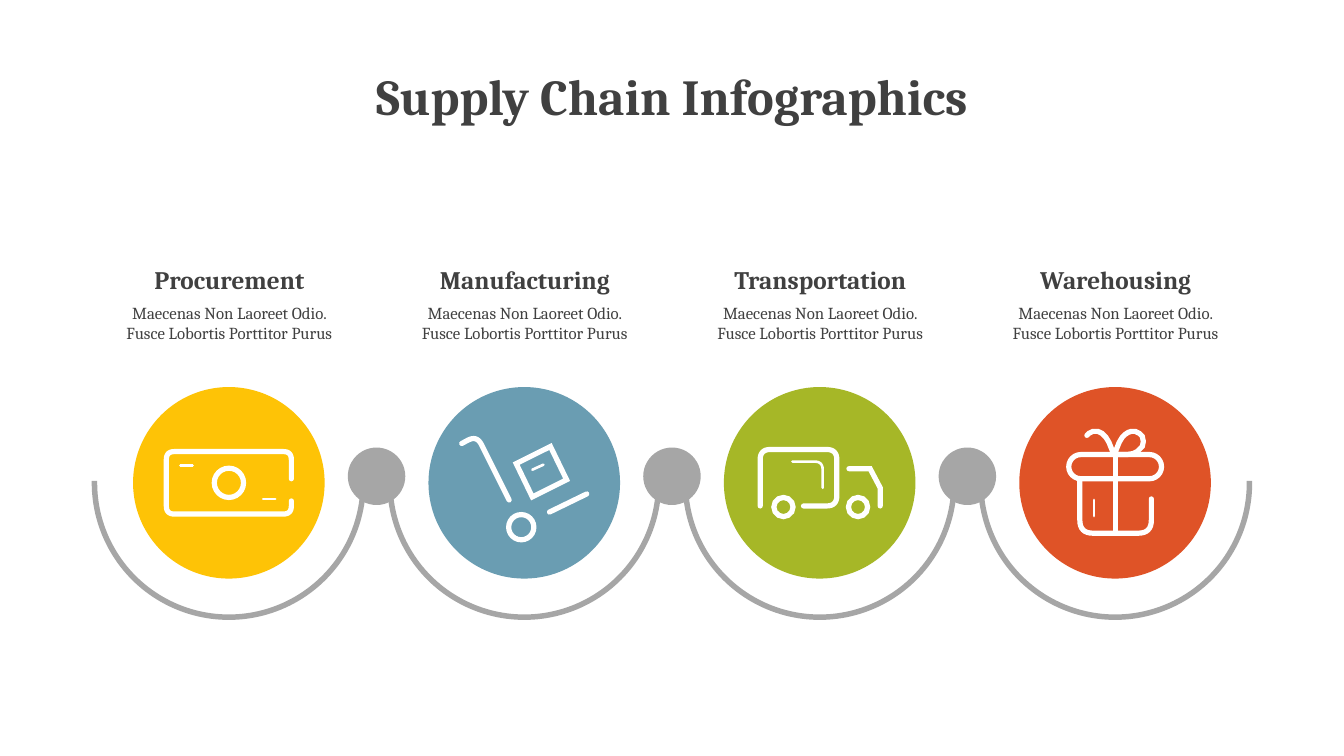
import math

import pptx
import pptx.util
import pptx.dml.color
import pptx.enum.shapes
import pptx.enum.text
import pptx.oxml
import pptx.oxml.ns

Inches = pptx.util.Inches
SHAPE = pptx.enum.shapes.MSO_SHAPE
CENTER = pptx.enum.text.PP_ALIGN.CENTER
COLORS = {"text": "404040", "gray": "A6A6A6", "white": "FFFFFF", "yellow": "FEC306",
          "blue": "6A9DB2", "green": "A6B727", "orange": "DF5327"}
FONT = "Cambria"
THICK, THIN = 3.71, 1.86
LEFT_X, PITCH, CENTER_Y = 2.27, 2.93, 4.79

# Icons in inches from the circle centre.
# Strokes: points, corner radius, line width, closed. Rounds: centre x, y, width, height.
bow_right = [(.1, -.48), (.07, -.45), (.04, -.4), (0, -.3), (0, -.28), (.12, -.28), (.18, -.29),
             (.22, -.31), (.27, -.36), (.28, -.41), (.27, -.46), (.24, -.49), (.2, -.51),
             (.16, -.51), (.13, -.5)]
bow_left = [(-.28, -.47), (-.26, -.49), (-.22, -.51), (-.17, -.51), (-.13, -.49), (-.09, -.45),
            (-.06, -.4), (-.02, -.3), (-.01, -.28)]
banknote = {
    "strokes": [
        ([(.62, .18), (.62, .31), (-.62, .31), (-.62, -.31), (.62, -.31), (.62, -.04)], .08, THICK, False),
        ([(.34, .16), (.46, .16)], 0, THIN, False),
        ([(-.48, -.17), (-.36, -.17)], 0, THIN, False)],
    "rounds": [(0, 0, .29, .29)]}
trolley = {
    "strokes": [
        ([(-.62, -.39), (-.47, -.47), (-.15, .17)], .1, THICK, False),
        ([(.25, .29), (.62, .11)], 0, THICK, False),
        ([(.42, -.03), (.08, .14), (-.08, -.19), (.26, -.36)], 0, THICK, True),
        ([(.08, -.13), (.19, -.18)], 0, THIN, False)],
    "rounds": [(-.03, .44, .25, .25)]}
truck = {
    "strokes": [
        ([(-.59, .23), (-.59, -.33), (.17, -.33), (.17, .23), (-.16, .23)], .1, THICK, False),
        ([(.29, -.14), (.5, -.14), (.6, .05), (.6, .23)], 0, THICK, False),
        ([(-.27, -.21), (.03, -.21), (.03, .05)], .08, THIN, False)],
    "rounds": [(-.36, .24, .19, .19), (.38, .24, .19, .19)]}
gift = {
    "strokes": [
        ([(.36, .16), (.36, .5), (-.35, .5), (-.35, -.04)], .13, THICK, False),
        ([(0, -.27), (0, .49)], 0, THICK, False),
        (bow_right, 0, THICK, True),
        (bow_left, 0, THICK, False),
        ([(-.21, .17), (-.21, .33)], 0, THIN, False)],
    "rounds": [(0, -.16, .92, .24)]}

STAGES = [("Procurement", "yellow", banknote), ("Manufacturing", "blue", trolley),
          ("Transportation", "green", truck), ("Warehousing", "orange", gift)]


def style(sp, fill=None, width=None):
    """Fill a shape, or outline it in white with round line ends."""
    if fill:
        sp.fill.solid()
        sp.fill.fore_color.rgb = pptx.dml.color.RGBColor.from_string(COLORS[fill])
    elif hasattr(sp, "fill"):
        sp.fill.background()
    if width:
        sp.line.color.rgb = pptx.dml.color.RGBColor.from_string(COLORS["white"])
        sp.line.width = pptx.util.Pt(width)
        ln = sp.line._get_or_add_ln()
        ln.set("cap", "rnd")
        pptx.oxml.ns.qn("a:miter")
        ln.append(pptx.oxml.parse_xml(
            '<a:miter xmlns:a="http://schemas.openxmlformats.org/drawingml/2006/main" lim="800000"/>'))
    else:
        sp.line.fill.background()
    if hasattr(sp, "shadow"):
        sp.shadow.inherit = False
    else:
        sp._element.spPr.append(pptx.oxml.parse_xml(
            '<a:effectLst xmlns:a="http://schemas.openxmlformats.org/drawingml/2006/main"/>'))


def round_corners(points, radius):
    """Replace each inner corner by a short curve."""
    result = [points[0]]
    for before, corner, after in zip(points, points[1:], points[2:]):
        ends = []
        for x, y in (before, after):
            share = min(radius / math.dist((x, y), corner), 1)
            ends.append((corner[0] + (x - corner[0]) * share, corner[1] + (y - corner[1]) * share))
        for t in (i / 8 for i in range(9)):
            result.append(tuple((1 - t) ** 2 * a + 2 * t * (1 - t) * c + t ** 2 * b
                                for a, c, b in zip(ends[0], corner, ends[1])))
    return result + [points[-1]]


prs = pptx.Presentation()
prs.slide_width, prs.slide_height = Inches(13.33), Inches(7.5)
s = prs.slides.add_slide(prs.slide_layouts[6])

# Title
title = s.shapes.add_textbox(0, Inches(0.6), Inches(13.33), Inches(0.71))
tf = title.text_frame
tf.word_wrap = True
tf.text = "Supply Chain Infographics"
text_lines = [(tf.paragraphs[0], 36, True)]

for i, (name, color, icon) in enumerate(STAGES):
    cx = LEFT_X + i * PITCH

    # Half ring below the circle, reaching slightly above its middle
    ring = s.shapes.add_shape(SHAPE.BLOCK_ARC, Inches(cx - 1.36), Inches(CENTER_Y - 1.36),
                              Inches(2.72), Inches(2.72))
    for k, value in enumerate((215.52, 108.48, 0.02)):
        ring.adjustments[k] = value
    style(ring, "gray")

    # Dot between two stages
    if i < len(STAGES) - 1:
        dot = s.shapes.add_shape(SHAPE.OVAL, Inches(cx + 1.18), Inches(4.44), Inches(0.57), Inches(0.57))
        style(dot, "gray")

    # Coloured circle
    circle = s.shapes.add_shape(SHAPE.OVAL, Inches(cx - 0.95), Inches(CENTER_Y - 0.95),
                                Inches(1.9), Inches(1.9))
    style(circle, color)

    # Icon
    for points, radius, width, closed in icon["strokes"]:
        if radius:
            points = round_corners(points, radius)
        points = [(Inches(cx + x), Inches(CENTER_Y + y)) for x, y in points]
        if len(points) == 2:
            sp = s.shapes.add_connector(pptx.enum.shapes.MSO_CONNECTOR.STRAIGHT, *points[0], *points[1])
        else:
            builder = s.shapes.build_freeform(*points[0])
            builder.add_line_segments(points[1:], close=closed)
            sp = builder.convert_to_shape()
        style(sp, width=width)
    for x, y, w, h in icon["rounds"]:
        kind = SHAPE.OVAL if w == h else SHAPE.ROUNDED_RECTANGLE
        sp = s.shapes.add_shape(kind, Inches(cx + x - w / 2), Inches(CENTER_Y + y - h / 2),
                                Inches(w), Inches(h))
        if w != h:
            sp.adjustments[0] = 0.5
        style(sp, width=THICK)

    # Heading and description
    box = s.shapes.add_textbox(Inches(cx - 1.1), Inches(2.62), Inches(2.21), Inches(0.99))
    tf = box.text_frame
    tf.word_wrap = True
    tf.margin_left = tf.margin_right = tf.margin_top = tf.margin_bottom = 0
    tf.text = name
    p = tf.add_paragraph()
    p.text = "Maecenas Non Laoreet Odio. Fusce Lobortis Porttitor Purus"
    p.space_before = pptx.util.Pt(6)
    text_lines += [(tf.paragraphs[0], 18, True), (p, 12, False)]

# Text format
for p, size, bold in text_lines:
    p.alignment = CENTER
    font = p.runs[0].font
    font.name, font.size, font.bold = FONT, pptx.util.Pt(size), bold
    font.color.rgb = pptx.dml.color.RGBColor.from_string(COLORS["text"])

prs.save("out.pptx")
